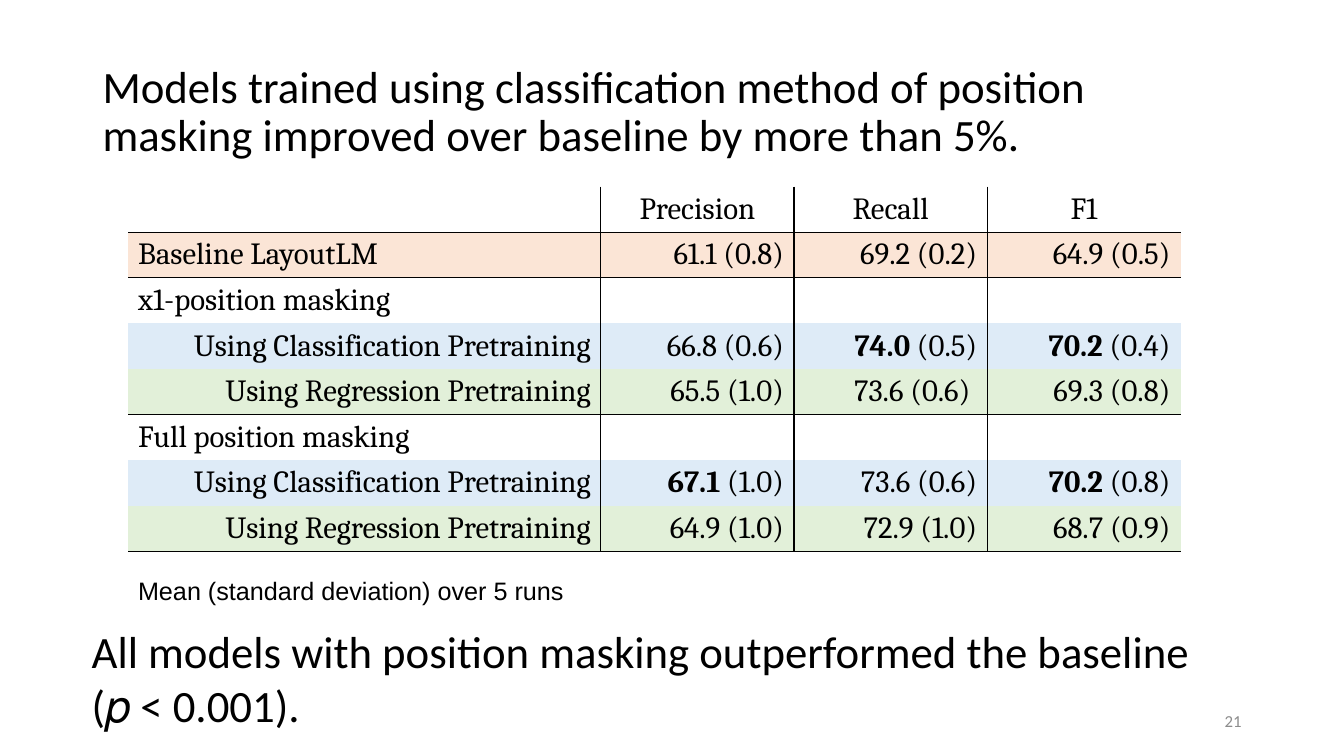
from lxml.etree import SubElement
from pptx import Presentation
from pptx.dml.color import RGBColor
from pptx.enum.text import MSO_ANCHOR as Anchor, MSO_AUTO_SIZE as AutoSize, PP_ALIGN as Align
from pptx.oxml.ns import qn
from pptx.util import Cm, Pt

BLACK, GREY = "000000", "8C8C8C"
PEACH, BLUE, GREEN = "FBE5D6", "DEEBF7", "E2F0D9"
COLUMN_WIDTHS = [11.91, 4.87, 4.87, 4.87]
ROW_HEIGHT = 1.15
RULED_ROWS = {0, 1, 4, 7}
CLASSIFICATION = "Using Classification Pretraining"
REGRESSION = "Using Regression Pretraining"
RESULTS = [
    (None, ["", "Precision", "Recall", "F1"]),
    (PEACH, ["Baseline LayoutLM", "61.1 (0.8)", "69.2 (0.2)", "64.9 (0.5)"]),
    (None, ["x1-position masking", "", "", ""]),
    (BLUE, [CLASSIFICATION, "66.8 (0.6)", "74.0 (0.5)", "70.2 (0.4)"]),
    (GREEN, [REGRESSION, "65.5 (1.0)", "73.6 (0.6) ", "69.3 (0.8)"]),
    (None, ["Full position masking", "", "", ""]),
    (BLUE, [CLASSIFICATION, "67.1 (1.0)", "73.6 (0.6)", "70.2 (0.8)"]),
    (GREEN, [REGRESSION, "64.9 (1.0)", "72.9 (1.0)", "68.7 (0.9)"]),
]
BEST_CELLS = {(3, 2), (3, 3), (6, 1), (6, 3)}


def color(value):
    return RGBColor.from_string(value)


def format_paragraph(paragraph, font_name, size, align=Align.LEFT, font_color=BLACK):
    paragraph.alignment = align
    font = paragraph.font
    font.name = font_name
    font.size = Pt(size)
    font.color.rgb = color(font_color)


def place(shape, left, top, width, height):
    shape.left, shape.top = Cm(left), Cm(top)
    shape.width, shape.height = Cm(width), Cm(height)


def add_title(slide, text):
    title = slide.shapes.title
    place(title, 2.33, 1.01, 29.21, 3.68)
    frame = title.text_frame
    frame.text = text
    frame.word_wrap = True
    frame.auto_size = AutoSize.NONE
    frame.vertical_anchor = Anchor.MIDDLE
    format_paragraph(frame.paragraphs[0], "Calibri", 32)
    frame.paragraphs[0].line_spacing = 0.9


def add_text(slide, box, lines, font_name, size, align=Align.LEFT,
             font_color=BLACK, anchor=Anchor.TOP):
    shape = slide.shapes.add_textbox(*map(Cm, box))
    frame = shape.text_frame
    frame.word_wrap = True
    frame.vertical_anchor = anchor
    frame.text = "\n".join(lines)
    for paragraph in frame.paragraphs:
        format_paragraph(paragraph, font_name, size, align, font_color)


def set_borders(cell, visible_sides):
    properties = cell._tc.get_or_add_tcPr()
    for side in "LRTB":
        line = SubElement(properties, qn(f"a:ln{side}"), w=str(Pt(1)))
        if side in visible_sides:
            fill = SubElement(line, qn("a:solidFill"))
            SubElement(fill, qn("a:srgbClr"), val=BLACK)
        else:
            SubElement(line, qn("a:noFill"))


def border_sides(row, column):
    rules = {
        "L": column > 0,
        "R": column < len(COLUMN_WIDTHS) - 1,
        "T": row - 1 in RULED_ROWS,
        "B": row in RULED_ROWS,
    }
    return {side for side, visible in rules.items() if visible}


def cell_alignment(row, column, text):
    if row == 0:
        return Align.CENTER
    if column > 0 or text in (CLASSIFICATION, REGRESSION):
        return Align.RIGHT
    return Align.LEFT


def fill_cell(cell, row, column, text, fill_color):
    set_borders(cell, border_sides(row, column))
    if fill_color:
        cell.fill.solid()
        cell.fill.fore_color.rgb = color(fill_color)
    else:
        cell.fill.background()
    paragraph = cell.text_frame.paragraphs[0]
    format_paragraph(paragraph, "Cambria", 22, cell_alignment(row, column, text))
    if (row, column) in BEST_CELLS:
        mean, deviation = text.split(" ")
        best = paragraph.add_run()
        best.text = mean
        best.font.bold = True
        paragraph.add_run().text = f" {deviation}"
    elif text:
        paragraph.add_run().text = text


def add_results_table(slide):
    shape = slide.shapes.add_table(
        len(RESULTS), len(COLUMN_WIDTHS), Cm(3.23), Cm(4.7),
        Cm(sum(COLUMN_WIDTHS)), Cm(ROW_HEIGHT * len(RESULTS)))
    table = shape.table
    table.first_row = False
    table.horz_banding = False
    for column, width in zip(table.columns, COLUMN_WIDTHS):
        column.width = Cm(width)
    for row, (fill_color, texts) in enumerate(RESULTS):
        table.rows[row].height = Cm(ROW_HEIGHT)
        for column, text in enumerate(texts):
            fill_cell(table.cell(row, column), row, column, text, fill_color)


def main():
    presentation = Presentation()
    presentation.slide_width, presentation.slide_height = Cm(33.87), Cm(19.05)
    slide = presentation.slides.add_slide(presentation.slide_layouts[5])
    add_title(slide, "Models trained using classification method of position "
                     "masking improved over baseline by more than 5%.")
    add_results_table(slide)
    add_text(slide, (3.23, 14.38, 24.1, 1.03),
             ["Mean (standard deviation) over 5 runs"], "Arial", 18)
    add_text(slide, (2.06, 15.6, 29.77, 3),
             ["All models with position masking outperformed the baseline",
              "(𝑝 < 0.001)."], "Calibri", 32)
    add_text(slide, (23.92, 17.66, 7.62, 1.01), ["21"], "Calibri", 12,
             Align.RIGHT, GREY, Anchor.MIDDLE)
    presentation.save("out.pptx")


if __name__ == "__main__":
    main()
